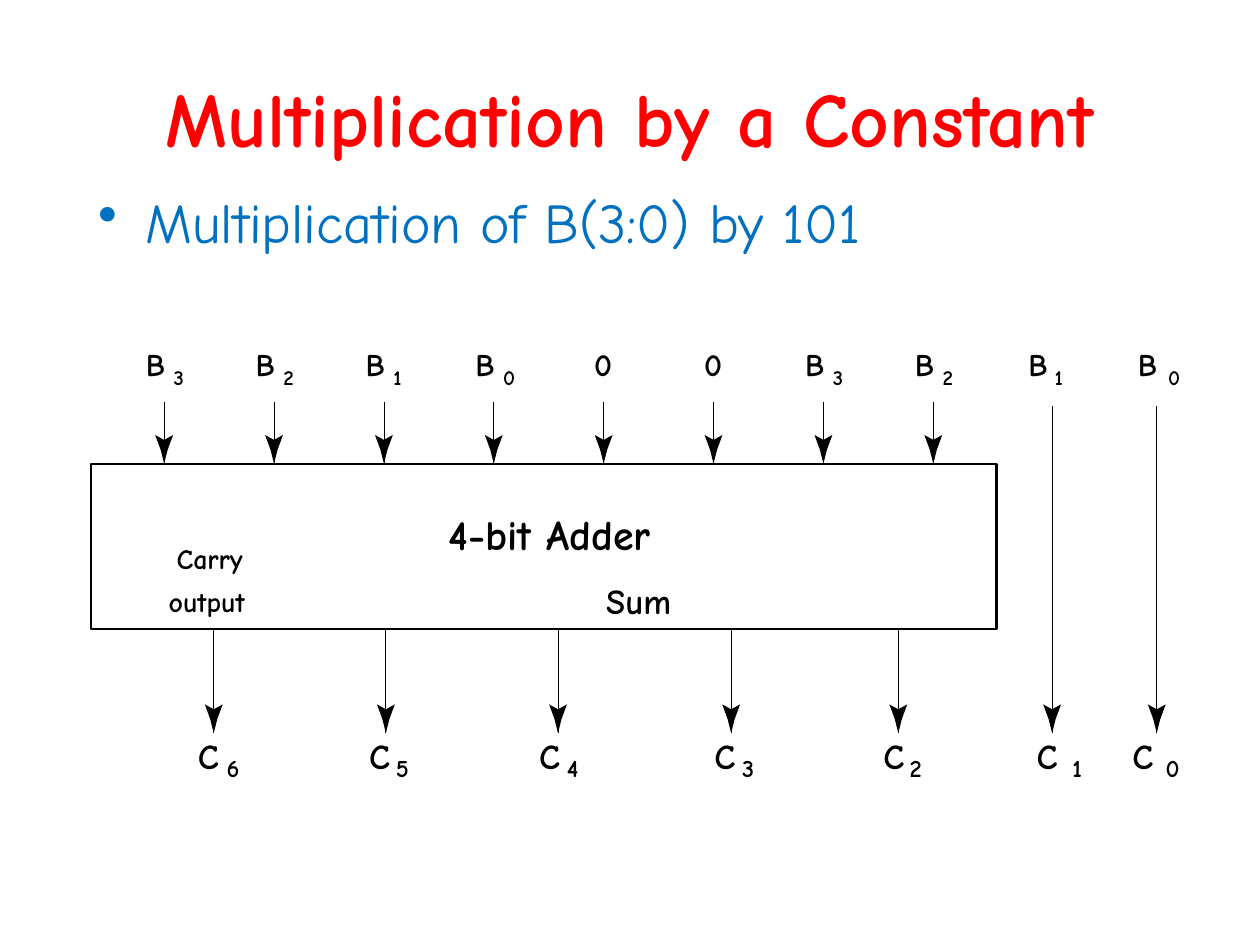
"""Build a slide showing multiplication by the constant 101 with a 4-bit adder."""
import pptx
import pptx.dml.color
import pptx.enum.shapes
import pptx.enum.text
import pptx.oxml.ns
import pptx.util
from lxml import etree

Cm = pptx.util.Cm
color = pptx.dml.color.RGBColor.from_string
FONT = "Comic Neue"
BLACK = "000000"

deck = pptx.Presentation()
deck.slide_width, deck.slide_height = Cm(25.4), Cm(19.05)
slide = deck.slides.add_slide(deck.slide_layouts[6])
shapes = slide.shapes


def label(text, left, top, width, height, size, ink=BLACK, bold=True, margin=0):
    box = shapes.add_textbox(Cm(left), Cm(top), Cm(width), Cm(height))
    frame = box.text_frame
    frame.word_wrap = margin > 0
    frame.margin_left = frame.margin_right = Cm(margin)
    frame.margin_top = frame.margin_bottom = Cm(margin / 2)
    paragraph = frame.paragraphs[0]
    paragraph.text = text
    paragraph.font.name = FONT
    paragraph.font.size = pptx.util.Pt(size)
    paragraph.font.bold = bold
    paragraph.font.color.rgb = color(ink)
    return frame


def arrow(x, top, tip):
    shaft = shapes.add_connector(
        pptx.enum.shapes.MSO_CONNECTOR.STRAIGHT, Cm(x), Cm(top), Cm(x), Cm(tip))
    shaft.line.width = pptx.util.Pt(0.5)
    shaft.line.color.rgb = color(BLACK)
    etree.SubElement(shaft.element.spPr, pptx.oxml.ns.qn("a:effectLst"))
    barb = tip - 0.58
    outline = shapes.build_freeform(Cm(x), Cm(barb + 0.1))
    outline.add_line_segments([
        (Cm(x + dx), Cm(barb + dy))
        for dx, dy in ((0.18, 0), (0.07, 0.3), (0, 0.58), (-0.07, 0.3), (-0.18, 0))])
    head = outline.convert_to_shape()
    head.shadow.inherit = False
    head.fill.solid()
    head.fill.fore_color.rgb = color(BLACK)
    head.line.fill.background()


title = label("Multiplication by a Constant", 1.27, 0.76, 22.86, 3.18, 44, "FF0000", True, 0.25)
title.vertical_anchor = pptx.enum.text.MSO_ANCHOR.MIDDLE
title.paragraphs[0].alignment = pptx.enum.text.PP_ALIGN.CENTER

body = label("Multiplication of B(3:0) by 101", 1.73, 3.66, 21.59, 13.97, 32, "0070C0", False, 0.25)
bullet_props = body.paragraphs[0]._p.get_or_add_pPr()
bullet_props.set("marL", str(Cm(0.95)))
bullet_props.set("indent", str(-Cm(0.95)))
bullet = etree.Element(pptx.oxml.ns.qn("a:buChar"), char="•")
bullet_props.insert(0, bullet)

box_top, box_height = 9.35, 3.33
box_bottom = box_top + box_height
result_tip = 14.78

adder = shapes.add_shape(
    pptx.enum.shapes.MSO_SHAPE.RECTANGLE, Cm(1.83), Cm(box_top), Cm(18.26), Cm(box_height))
adder.shadow.inherit = False
adder.fill.background()
adder.line.color.rgb = color(BLACK)
adder.line.width = pptx.util.Pt(1.25)

label("4-bit Adder", 9.04, 10.26, 5.08, 1.02, 24)
label("Carry", 3.56, 10.92, 1.52, 0.69, 16)
label("output", 3.4, 11.79, 1.73, 0.69, 16)
label("Sum", 12.22, 11.68, 1.42, 0.86, 20)

for column, bit in enumerate(("3", "2", "1", "0", "", "", "3", "2")):
    x = 3.31 + 2.215 * column
    arrow(x, 8.1, box_top)
    if bit:
        label("B", x - 0.37, 6.96, 0.41, 0.76, 18)
        label(bit, x + 0.19, 7.34, 0.25, 0.51, 12)
    else:
        label("0", x - 0.19, 6.95, 0.38, 0.76, 18)

for bit, x, letter_left, bit_left in (("1", 21.21, 20.73, 21.26), ("0", 23.32, 22.94, 23.55)):
    arrow(x, 8.19, result_tip)
    label("B", letter_left, 6.96, 0.41, 0.76, 18)
    label(bit, bit_left, 7.35, 0.25, 0.51, 12)

for x in (4.31, 7.78, 11.25, 14.74, 18.11):
    arrow(x, box_bottom, result_tip)

results = (("6", 3.99, 4.57), ("5", 7.44, 7.98), ("4", 10.87, 11.43), ("3", 14.4, 14.96),
           ("2", 17.81, 18.34), ("1", 20.9, 21.62), ("0", 22.83, 23.5))
for bit, letter_left, bit_left in results:
    label("C", letter_left, 14.81, 0.43, 0.86, 20)
    label(bit, bit_left, 15.19, 0.3, 0.61, 14)

deck.save("out.pptx")
